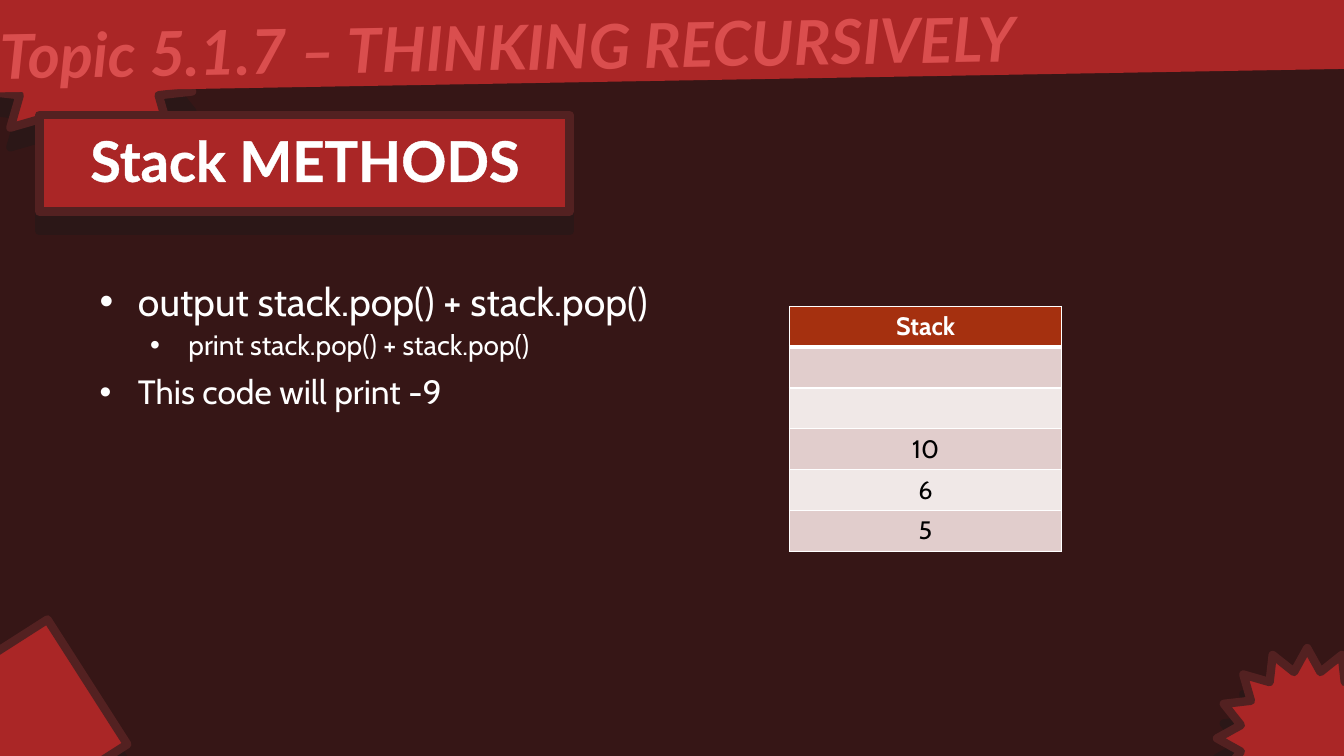
from pptx import Presentation
from pptx.dml.color import RGBColor
from pptx.enum.shapes import MSO_SHAPE
from pptx.enum.text import PP_ALIGN, MSO_ANCHOR
from pptx.oxml import parse_xml
from pptx.oxml.ns import nsdecls
from pptx.util import Inches, Pt

RECT, STAR = MSO_SHAPE.RECTANGLE, MSO_SHAPE.STAR_16_POINT
CENTER, LEFT = PP_ALIGN.CENTER, PP_ALIGN.LEFT
MIDDLE = MSO_ANCHOR.MIDDLE
COLORS = {
    "background": "361616", "red": "AA2626", "edge": "532121",
    "shadow": "2B1717", "topic": "DA4E4E", "white": "FFFFFF",
    "black": "000000", "header": "A5300F", "odd": "E1CDCC", "even": "F0E8E7",
}


def add_red_shape(kind, left, top, width, height, rotation=0, framed=True):
    sp = s.shapes.add_shape(kind, Inches(left), Inches(top), Inches(width), Inches(height))
    sp.rotation = rotation
    sp.shadow.inherit = False
    sp.fill.solid()
    sp.fill.fore_color.rgb = RGBColor.from_string(COLORS["red"])
    if not framed:
        sp.line.fill.background()
        return
    sp.line.color.rgb = RGBColor.from_string(COLORS["edge"])
    sp.line.width = Pt(6)
    effects = sp._element.spPr.find("{*}effectLst")
    effects.append(parse_xml(
        f'<a:outerShdw {nsdecls("a")} blurRad="0" dist="{Pt(14)}" dir="5400000" '
        f'algn="t" rotWithShape="0"><a:srgbClr val="{COLORS["shadow"]}"/></a:outerShdw>'))


def add_run(p, text, color, **font):
    r = p.add_run()
    r.text = text
    r.font.color.rgb = RGBColor.from_string(COLORS[color])
    for name, value in font.items():
        setattr(r.font, name, value)
    return r


prs = Presentation()
prs.slide_width, prs.slide_height = Inches(13.33), Inches(7.5)
s = prs.slides.add_slide(prs.slide_layouts[6])
s.background.fill.solid()
s.background.fill.fore_color.rgb = RGBColor.from_string(COLORS["background"])

add_red_shape(STAR, -0.22, -0.62, 2.21, 2.21)
add_red_shape(RECT, -0.22, -0.68, 13.86, 1.48, 359, framed=False)
add_red_shape(RECT, -0.57, 6.45, 1.56, 1.47, 327.4)
add_red_shape(STAR, 12.07, 6.43, 1.79, 1.79)
add_red_shape(RECT, 0.39, 1.14, 5.26, 0.96)

headings = [
    ("Topic 5.1.7 – THINKING RECURSIVELY", (-0.1, -0.01, 15.87, 0.84), 359, LEFT, "topic", 44, True),
    ("Stack METHODS", (0.45, 1.2, 5.15, 0.84), 0, CENTER, "white", 40, False),
]
for text, box, rotation, align, color, size, italic in headings:
    sp = s.shapes.add_textbox(*map(Inches, box))
    sp.rotation = rotation
    tf = sp.text_frame
    tf.word_wrap = True
    p = tf.paragraphs[0]
    p.alignment = align
    r = add_run(p, text, color, size=Pt(size), name="Lato", bold=True, italic=italic)
    r.font._element.insert(0, parse_xml(
        f'<a:ln {nsdecls("a")} w="{Pt(1.5)}"><a:solidFill>'
        f'<a:srgbClr val="{COLORS[color]}"/></a:solidFill></a:ln>'))

bullets = [
    ("output stack.pop() + stack.pop()", 0, 28),
    ("print stack.pop() + stack.pop()", 1, 20),
    ("This code will print -9", 0, 24),
]
tf = s.shapes.add_textbox(Inches(0.89), Inches(2.75), Inches(11.18), Inches(4.43)).text_frame
tf.word_wrap = True
for i, (text, level, size) in enumerate(bullets):
    p = tf.add_paragraph() if i else tf.paragraphs[0]
    p.level = level
    p.line_spacing = 0.9
    p.space_before = Pt(5 if level else 10)
    pPr = p._p.get_or_add_pPr()
    pPr.set("marL", str(Inches(0.38 + 0.5 * level)))
    pPr.set("indent", str(Inches(-0.38)))
    pPr.append(parse_xml(f'<a:buFont {nsdecls("a")} typeface="Arial"/>'))
    pPr.append(parse_xml(f'<a:buChar {nsdecls("a")} char="•"/>'))
    add_run(p, text, "white", size=Pt(size), name="Cabin")

stack = ["Stack", "", "", "10", "6", "5"]
table = s.shapes.add_table(len(stack), 1, Inches(7.83), Inches(3.04), Inches(2.7), Inches(2.43)).table
for i, text in enumerate(stack):
    cell = table.cell(i, 0)
    cell.vertical_anchor = MIDDLE
    tcPr = cell._tc.get_or_add_tcPr()
    for side in "LRTB":
        heavy = (i == 0 and side == "B") or (i == 1 and side == "T")
        tcPr.append(parse_xml(
            f'<a:ln{side} {nsdecls("a")} w="{Pt(3 if heavy else 1)}"><a:solidFill>'
            f'<a:srgbClr val="{COLORS["white"]}"/></a:solidFill></a:ln{side}>'))
    cell.fill.solid()
    fill = "header" if i == 0 else "odd" if i % 2 else "even"
    cell.fill.fore_color.rgb = RGBColor.from_string(COLORS[fill])
    p = cell.text_frame.paragraphs[0]
    p.alignment = CENTER
    if text:
        add_run(p, text, "black" if i else "white", size=Pt(18), name="Cabin", bold=i == 0)

prs.save("out.pptx")
